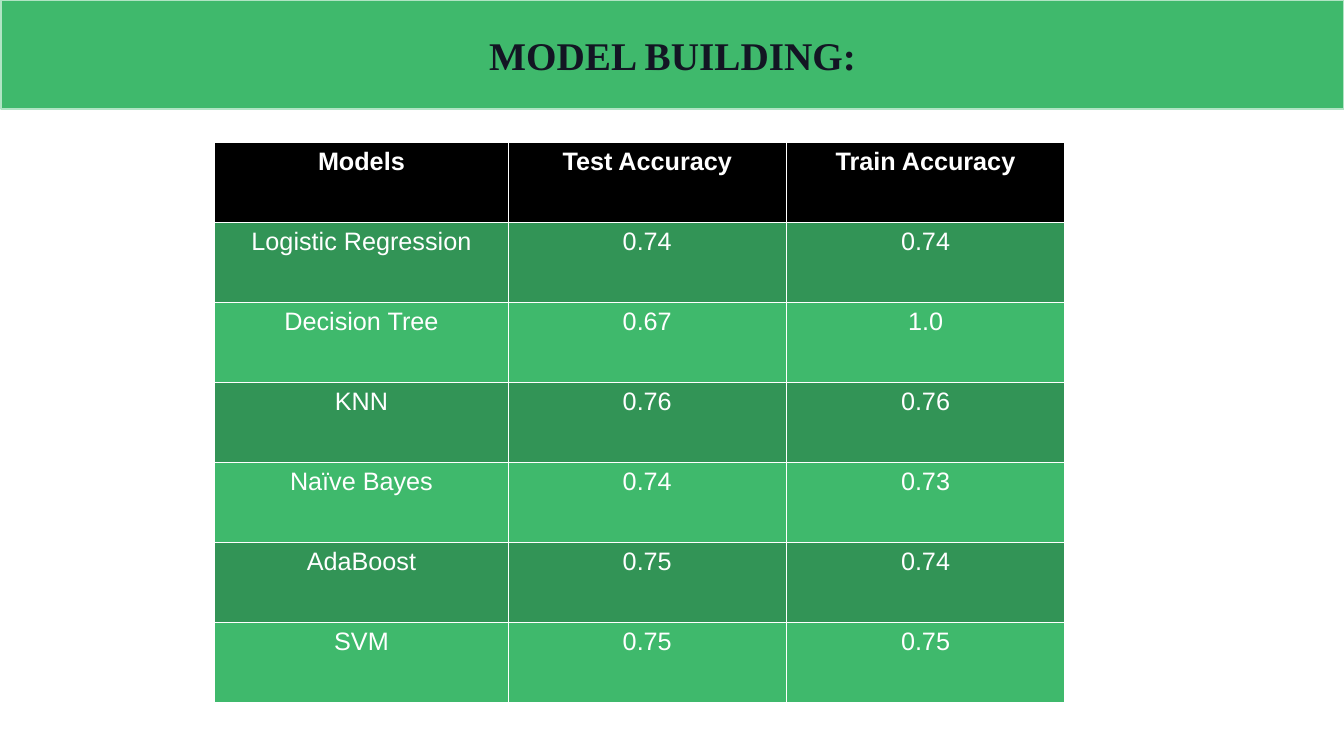
import pptx
import pptx.dml.color
import pptx.enum.text
import pptx.oxml
import pptx.oxml.ns
import pptx.util

TITLE = "MODEL BUILDING:"
ROWS = [
    ("Models", "Test Accuracy", "Train Accuracy"),
    ("Logistic Regression", "0.74", "0.74"),
    ("Decision Tree", "0.67", "1.0"),
    ("KNN", "0.76", "0.76"),
    ("Naïve Bayes", "0.74", "0.73"),
    ("AdaBoost", "0.75", "0.74"),
    ("SVM", "0.75", "0.75"),
]
COLORS = {
    "green": "3FB96C",
    "dark green": "329456",
    "pale green": "B1E4C4",
    "black": "000000",
    "white": "FFFFFF",
    "ink": "131523",
}
SLIDE_WIDTH, SLIDE_HEIGHT = 13.33, 7.5
BANNER_LEFT, BANNER_HEIGHT = 0.01, 1.08
TABLE_LEFT, TABLE_TOP = 2.13, 1.41
COLUMN_WIDTHS = (2.91, 2.76, 2.76)
ROW_HEIGHT = 0.79375

inches = pptx.util.Inches


def rgb(name):
    return pptx.dml.color.RGBColor.from_string(COLORS[name])


def paint(fill, name):
    fill.solid()
    fill.fore_color.rgb = rgb(name)


def style_paragraph(paragraph, font_name, size, color, bold):
    paragraph.alignment = pptx.enum.text.PP_ALIGN.CENTER
    paragraph.font.name = font_name
    paragraph.font.size = pptx.util.Pt(size)
    paragraph.font.color.rgb = rgb(color)
    paragraph.font.bold = bold


def add_borders(cell, color):
    """Put a one-point line on each side, ahead of the cell's fill."""
    properties = cell._tc.get_or_add_tcPr()
    for position, side in enumerate(("lnL", "lnR", "lnT", "lnB")):
        border = pptx.oxml.parse_xml(
            f'<a:{side} {pptx.oxml.ns.nsdecls("a")} w="{pptx.util.Pt(1)}">'
            f'<a:solidFill><a:srgbClr val="{COLORS[color]}"/></a:solidFill></a:{side}>'
        )
        properties.insert(position, border)


def add_banner(slide):
    banner = slide.shapes.title
    banner.left, banner.top = inches(BANNER_LEFT), 0
    banner.width = inches(SLIDE_WIDTH - BANNER_LEFT)
    banner.height = inches(BANNER_HEIGHT)
    paint(banner.fill, "green")
    banner.line.color.rgb = rgb("pale green")
    banner.line.width = pptx.util.Pt(1)
    frame = banner.text_frame
    frame.text = TITLE
    frame.auto_size = pptx.enum.text.MSO_AUTO_SIZE.NONE
    frame.vertical_anchor = pptx.enum.text.MSO_ANCHOR.MIDDLE
    style_paragraph(frame.paragraphs[0], "Times New Roman", 28, "ink", True)


def add_accuracy_table(slide):
    table = slide.shapes.add_table(
        len(ROWS), len(COLUMN_WIDTHS), inches(TABLE_LEFT), inches(TABLE_TOP),
        inches(sum(COLUMN_WIDTHS)), inches(ROW_HEIGHT * len(ROWS)),
    ).table
    for column, width in zip(table.columns, COLUMN_WIDTHS):
        column.width = inches(width)
    for row_index, values in enumerate(ROWS):
        table.rows[row_index].height = inches(ROW_HEIGHT)
        is_header = row_index == 0
        band = "dark green" if row_index % 2 else "green"
        for column_index, value in enumerate(values):
            cell = table.cell(row_index, column_index)
            cell.text = value
            paint(cell.fill, "black" if is_header else band)
            add_borders(cell, "white")
            style_paragraph(cell.text_frame.paragraphs[0], "Arial", 18, "white", is_header)


def main():
    presentation = pptx.Presentation()
    presentation.slide_width = inches(SLIDE_WIDTH)
    presentation.slide_height = inches(SLIDE_HEIGHT)
    slide = presentation.slides.add_slide(presentation.slide_layouts.get_by_name("Title Only"))
    add_banner(slide)
    add_accuracy_table(slide)
    presentation.save("out.pptx")


if __name__ == "__main__":
    main()
